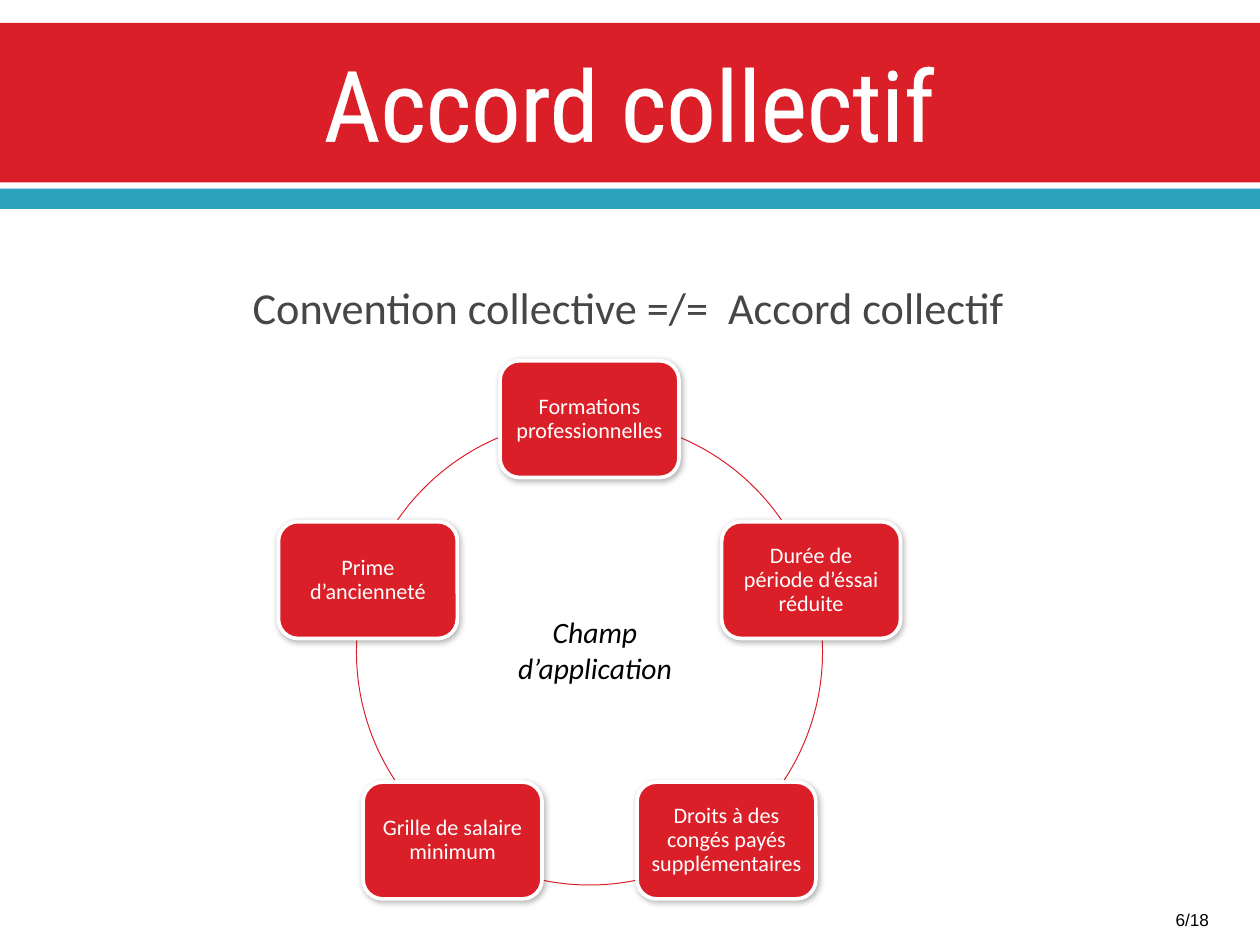
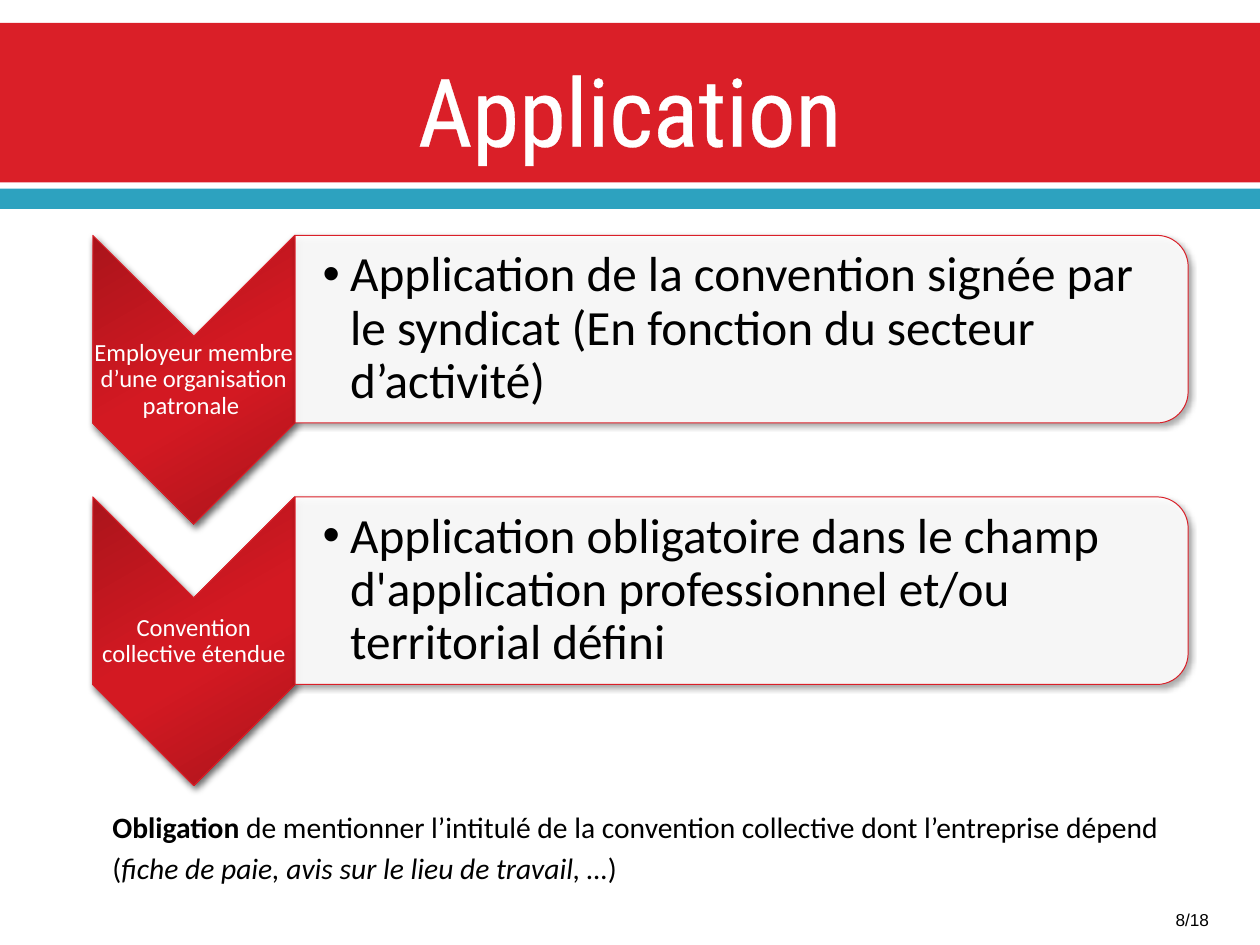
from math import cos, radians, sin

from pptx import Presentation
from pptx.dml.color import RGBColor
from pptx.enum.shapes import MSO_SHAPE
from pptx.enum.text import MSO_ANCHOR, MSO_AUTO_SIZE, PP_ALIGN
from pptx.oxml import parse_xml
from pptx.oxml.ns import nsdecls, qn
from pptx.util import Cm, Pt

RECT, OVAL = MSO_SHAPE.RECTANGLE, MSO_SHAPE.OVAL
ROUNDED, CHEVRON = MSO_SHAPE.ROUNDED_RECTANGLE, MSO_SHAPE.CHEVRON
ROUND_TOP = MSO_SHAPE.ROUND_2_SAME_RECTANGLE
TOP, MIDDLE = MSO_ANCHOR.TOP, MSO_ANCHOR.MIDDLE
LEFT, CENTER = PP_ALIGN.LEFT, PP_ALIGN.CENTER
NO_FIT = MSO_AUTO_SIZE.NONE

RED, BLUE, WHITE, BLACK, GREY = "DA1F28", "2DA2BF", "FFFFFF", "000000", "464646"
DARK_RED, BRIGHT_RED = "AA141B", "D31922"
RED_STOPS = [(0, DARK_RED), (48, BRIGHT_RED), (58, BRIGHT_RED), (100, DARK_RED)]
BODY_FONT, TITLE_FONT, NUMBER_FONT = "Calibri", "Roboto Condensed", "Arial"
SLIDE_W, SLIDE_H = 36.12, 27.1
THIN = 0.79


def rgb(value):
    return RGBColor.from_string(value)


def xml(tag, inner, **attrs):
    """Build one DrawingML element from its tag, content and attributes."""
    pairs = " ".join(f'{k}="{v}"' for k, v in attrs.items())
    return parse_xml(f"<a:{tag} {nsdecls('a')} {pairs}>{inner}</a:{tag}>")


def add_run(p, text, size=24, color=BLACK, font=BODY_FONT, bold=False, italic=False):
    r = p.add_run()
    r.text = text
    r.font.size, r.font.name = Pt(size), font
    r.font.bold, r.font.italic = bold, italic
    r.font.color.rgb = rgb(color)
    return r


def set_frame(tf, inset, anchor=MIDDLE, align=CENTER, spacing=None):
    """Format a text frame and return its first paragraph; inset is (x, y) in cm."""
    tf.word_wrap, tf.auto_size, tf.vertical_anchor = True, NO_FIT, anchor
    tf.margin_left = tf.margin_right = Cm(inset[0])
    tf.margin_top = tf.margin_bottom = Cm(inset[1])
    p = tf.paragraphs[0]
    p.alignment = align
    if spacing:
        p.line_spacing = spacing
    return p


class Deck:
    def __init__(self):
        self.prs = Presentation()
        self.prs.slide_width, self.prs.slide_height = Cm(SLIDE_W), Cm(SLIDE_H)
        self.s = None

    def new_slide(self, title, number, size, inset):
        self.s = self.prs.slides.add_slide(self.prs.slide_layouts[5])
        self.shape(RECT, 0, 0.66, SLIDE_W, 4.57, fill=RED)
        self.shape(RECT, 0, 5.41, SLIDE_W, 0.58, fill=BLUE)
        sp = self.s.shapes.title
        sp.left, sp.top, sp.width, sp.height = Cm(2.64), Cm(1.24), Cm(30.84), Cm(6)
        p = set_frame(sp.text_frame, (inset, inset), TOP)
        r = add_run(p, title, size, WHITE, TITLE_FONT)
        outline = f'<a:solidFill><a:srgbClr val="{WHITE}"/></a:solidFill>'
        r.font._element.insert(0, xml("ln", outline, w=Pt(1.1)))
        self.s.shapes._spTree.append(sp._element)  # title above the bands
        self.text(number, 33.45, 25.96, 2.67, 0.86, anchor=TOP, align=LEFT,
                  size=14, font=NUMBER_FONT)

    def shape(self, kind, x, y, w, h, fill=None, line=None, width=THIN,
              shadow=None, rotation=0, alpha=None):
        """Add a shape; fill is a colour or gradient stops, shadow is (opacity, blur, distance)."""
        sp = self.s.shapes.add_shape(kind, Cm(x), Cm(y), Cm(w), Cm(h))
        sp.rotation = rotation
        sp.shadow.inherit = False
        pr = sp._element.spPr
        if fill is None:
            sp.fill.background()
        elif isinstance(fill, str):
            sp.fill.solid()
            sp.fill.fore_color.rgb = rgb(fill)
            if alpha:
                pr.find(".//" + qn("a:srgbClr")).append(xml("alpha", "", val=alpha * 1000))
        else:
            sp.fill.gradient()
            stops = "".join(f'<a:gs pos="{pos * 1000}"><a:srgbClr val="{c}"/></a:gs>'
                            for pos, c in fill)
            gradient = xml("gradFill", f'<a:gsLst>{stops}</a:gsLst><a:lin ang="3600000" scaled="1"/>',
                           rotWithShape=0)
            pr.replace(pr.find(qn("a:gradFill")), gradient)
        if line:
            sp.line.color.rgb = rgb(line)
            sp.line.width = Pt(width)
        else:
            sp.line.fill.background()
        if shadow:
            opacity, blur, dist = shadow
            color = f'<a:srgbClr val="{BLACK}"><a:alpha val="{opacity * 1000}"/></a:srgbClr>'
            pr.find(qn("a:effectLst")).append(
                xml("outerShdw", color, blurRad=Pt(blur), dist=Pt(dist),
                    dir=3600000, rotWithShape=0))
        return sp

    def turned(self, kind, x, y, w, h, **style):
        """Add a shape turned a quarter clockwise that covers the given box."""
        return self.shape(kind, x + (w - h) / 2, y + (h - w) / 2, h, w, rotation=90, **style)

    def text(self, text, x, y, w, h, inset=(0.25, 0.13), anchor=MIDDLE,
             align=CENTER, spacing=None, **font):
        """Add a text box; text is a string or a list of (string, font options)."""
        tb = self.s.shapes.add_textbox(Cm(x), Cm(y), Cm(w), Cm(h))
        p = set_frame(tb.text_frame, inset, anchor, align, spacing)
        for part, extra in [(text, {})] if isinstance(text, str) else text:
            add_run(p, part, **font, **extra)
        return tb

    def cycle(self, labels, cx, cy, radius, w, h):
        """Place labelled boxes evenly on a ring, clockwise from the top."""
        self.shape(OVAL, cx - radius, cy - radius, 2 * radius, 2 * radius, line=RED)
        for i, label in enumerate(labels):
            angle = radians(360 * i / len(labels) - 90)
            x, y = cx + radius * cos(angle) - w / 2, cy + radius * sin(angle) - h / 2
            sp = self.shape(ROUNDED, x, y, w, h, fill=RED, line=WHITE, width=3,
                            shadow=(30, 5, 2))
            p = set_frame(sp.text_frame, (0.15, 0.15), spacing=0.9)
            add_run(p, label, 18, WHITE)

    def chevron_row(self, y, label, statement):
        x, w, split = 2.66, 5.79, 8.46
        self.turned(CHEVRON, x, y, w, 8.28, fill=RED_STOPS, line=RED, shadow=(60, 6, 3))
        self.text(label, x, y + 2.9, w, 2.49, inset=(0.03, 0.03), spacing=0.9,
                  size=20, color=WHITE)
        self.turned(ROUND_TOP, split, y, 25.6, 5.38, fill=WHITE, alpha=90, line=RED,
                    shadow=(36, 5, 2))
        tb = self.text(statement, split, y + 0.26, 25.35, 4.86, inset=(0.08, 0.08),
                       align=LEFT, spacing=0.9, size=40)
        tb.text_frame.margin_left = Cm(0.79)
        ppr = tb.text_frame.paragraphs[0]._p.get_or_add_pPr()
        ppr.set("marL", str(Cm(0.79)))
        ppr.set("indent", str(-Cm(0.79)))
        ppr.append(xml("buFont", "", typeface=NUMBER_FONT))
        ppr.append(xml("buChar", "", char="•"))


def main():
    deck = Deck()

    deck.new_slide("Accord collectif", "6/18", size=80, inset=0)
    deck.text("Convention collective =/=  Accord collectif ", 2.77, 7.24, 30.76, 3.12,
              inset=(0, 0), size=36, color=GREY)
    deck.cycle(["Formations professionnelles", "Durée de période d’éssai réduite",
                "Droits à des congés payés supplémentaires", "Grille de salaire minimum",
                "Prime d’ancienneté"], cx=16.9, cy=18.7, radius=6.68, w=5.13, h=3.35)
    deck.text("Champ d’application", 14.26, 17.48, 5.59, 2.31, anchor=TOP, italic=True)

    deck.new_slide("Application", "8/18", size=77, inset=0.25)
    rows = [("Employeur membre d’une organisation patronale ",
             "Application de la convention signée par le syndicat "
             "(En fonction du secteur d’activité)"),
            ("Convention collective étendue",
             "Application obligatoire dans le champ d'application "
             "professionnel et/ou territorial défini")]
    for i, (label, statement) in enumerate(rows):
        deck.chevron_row(6.75 + 7.5 * i, label, statement)
    deck.text([("Obligation", {"bold": True}),
               (" de mentionner l’intitulé de la convention collective "
                "dont l’entreprise dépend (", {}),
               ("fiche de paie, avis sur le lieu de travail, …", {"italic": True}),
               (")", {})],
              2.97, 22.75, 30.53, 2.95, inset=(0.25, 0.25), align=LEFT, spacing=1.15)

    deck.prs.save("out.pptx")


if __name__ == "__main__":
    main()
